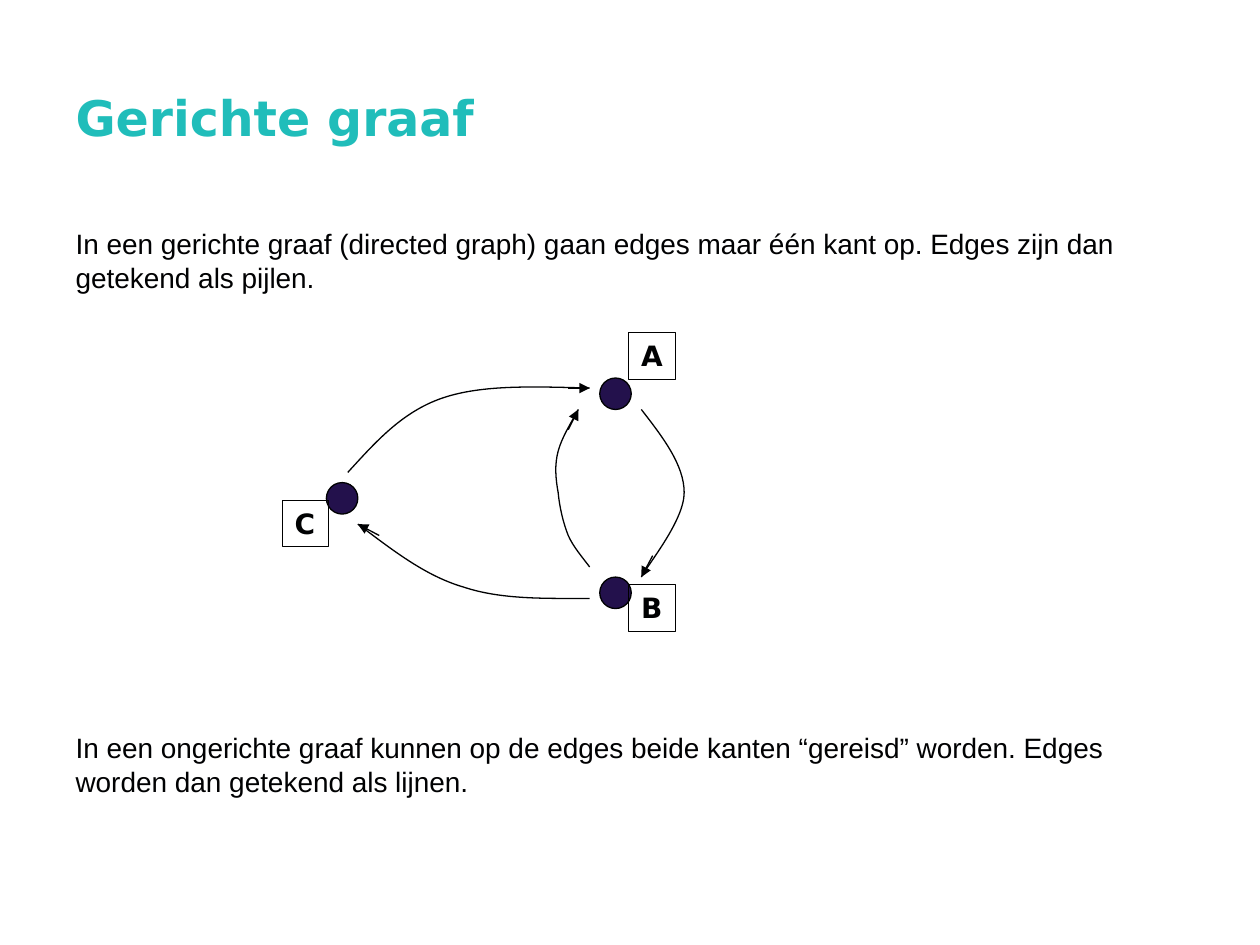
import pptx
import pptx.dml.color
import pptx.enum.shapes
import pptx.enum.text
import pptx.oxml
import pptx.oxml.ns
import pptx.util
from pptx.util import Inches

COLORS = {"title": "20BDBA", "ink": "000102", "node": "23114C", "frame": "000000"}
FORMATS = {
    "title": {"name": "DejaVu Sans", "size": pptx.util.Pt(28), "bold": True},
    "body": {"name": "Arial", "size": pptx.util.Pt(16), "bold": False},
    "label": {"name": "DejaVu Sans", "size": pptx.util.Pt(16), "bold": True},
}
LINE_WIDTH = pptx.util.Pt(0.75)
NODE_SIZE = 0.25
LABEL_SIZE = 0.37

EXPLANATION = [
    "In een gerichte graaf (directed graph) gaan edges maar één kant op. "
    "Edges zijn dan getekend als pijlen.",
    "In een ongerichte graaf kunnen op de edges beide kanten “gereisd” worden. "
    "Edges worden dan getekend als lijnen.",
]
NODES = {
    "A": ((4.76, 3), (4.99, 2.64)),
    "B": ((4.76, 4.58), (4.99, 4.64)),
    "C": ((2.59, 3.83), (2.24, 3.97)),
}
EDGES = [
    [(5.09, 3.25), (5.26, 3.47), (5.43, 3.69), (5.43, 3.91),
     (5.43, 4.13), (5.15, 4.47), (5.09, 4.58)],
    [(2.76, 3.75), (2.98, 3.51), (3.19, 3.27), (3.51, 3.16),
     (3.83, 3.05), (4.25, 3.07), (4.68, 3.08)],
    [(4.68, 4.75), (4.33, 4.75), (3.98, 4.76), (3.68, 4.66),
     (3.37, 4.57), (3.11, 4.36), (2.84, 4.16)],
    [(4.68, 4.50), (4.62, 4.42), (4.55, 4.34), (4.51, 4.25),
     (4.47, 4.15), (4.44, 4.02), (4.43, 3.91),
     (4.41, 3.80), (4.40, 3.69), (4.43, 3.58),
     (4.46, 3.47), (4.53, 3.36), (4.59, 3.25)],
]
ARROW_TIPS = [
    ((5.18, 4.41), (5.09, 4.58)),
    ((4.51, 3.41), (4.59, 3.25)),
    ((4.51, 3.08), (4.68, 3.08)),
    ((3.01, 4.25), (2.84, 4.16)),
]


def add_xml(parent, tag, **attributes):
    child = pptx.oxml.parse_xml(f"<a:{tag} {pptx.oxml.ns.nsdecls('a')}/>")
    for key, value in attributes.items():
        child.set(key, value)
    parent.append(child)
    return child


def bend_segments(curve):
    outline = curve._element.find(f".//{pptx.oxml.ns.qn('a:path')}")
    segments = outline.findall(pptx.oxml.ns.qn("a:lnTo"))
    for first in range(0, len(segments), 3):
        bend = add_xml(outline, "cubicBezTo")
        for segment in segments[first:first + 3]:
            bend.append(segment[0])
            outline.remove(segment)


class GraphSlide:
    def __init__(self, slide):
        self.slide = slide
        self.shapes = slide.shapes

    def color(self, key):
        return pptx.dml.color.RGBColor.from_string(COLORS[key])

    def outline(self, line, color="ink"):
        line.width = LINE_WIDTH
        line.color.rgb = self.color(color)

    def format(self, paragraph, kind, color="ink"):
        for run in paragraph.runs:
            for attribute, value in FORMATS[kind].items():
                setattr(run.font, attribute, value)
            run.font.color.rgb = self.color(color)

    def place(self, holder, left, top, width, height):
        bounds = {"left": left, "top": top, "width": width, "height": height}
        for attribute, value in bounds.items():
            setattr(holder, attribute, Inches(value))
        holder.text_frame.auto_size = pptx.enum.text.MSO_AUTO_SIZE.NONE

    def title(self, words):
        heading = self.shapes.title
        self.place(heading, 0.5, 0.3, 9, 1.25)
        heading.text_frame.text = words
        heading.text_frame.vertical_anchor = pptx.enum.text.MSO_ANCHOR.MIDDLE
        paragraph = heading.text_frame.paragraphs[0]
        paragraph.alignment = pptx.enum.text.PP_ALIGN.LEFT
        self.format(paragraph, "title", "title")

    def body(self, texts, gap):
        explanation = self.slide.placeholders[1]
        self.place(explanation, 0.5, 1.75, 9, 4.95)
        explanation.text_frame.text = "\n".join(texts)
        for index, paragraph in enumerate(explanation.text_frame.paragraphs):
            properties = paragraph._p.get_or_add_pPr()
            properties.set("marL", "0")
            properties.set("indent", "0")
            add_xml(properties, "buNone")
            paragraph.space_before = pptx.util.Pt(gap if index else 0)
            self.format(paragraph, "body")

    def node(self, left, top):
        dot = self.shapes.add_shape(
            pptx.enum.shapes.MSO_SHAPE.OVAL,
            Inches(left), Inches(top), Inches(NODE_SIZE), Inches(NODE_SIZE))
        dot.shadow.inherit = False
        dot.fill.solid()
        dot.fill.fore_color.rgb = self.color("node")
        self.outline(dot.line)

    def edge(self, points):
        start, *rest = [(Inches(x), Inches(y)) for x, y in points]
        builder = self.shapes.build_freeform(*start)
        builder.add_line_segments(rest, close=False)
        curve = builder.convert_to_shape()
        bend_segments(curve)
        curve.shadow.inherit = False
        curve.fill.background()
        self.outline(curve.line)

    def arrow(self, start, end):
        tip = self.shapes.add_connector(
            pptx.enum.shapes.MSO_CONNECTOR.STRAIGHT,
            *(Inches(value) for value in start + end))
        self.outline(tip.line)
        add_xml(tip.line._get_or_add_ln(), "tailEnd", type="triangle")
        add_xml(tip._element.spPr, "effectLst")

    def label(self, letter, left, top):
        box = self.shapes.add_textbox(
            Inches(left), Inches(top), Inches(LABEL_SIZE), Inches(LABEL_SIZE))
        self.outline(box.line, "frame")
        frame = box.text_frame
        frame.word_wrap = False
        frame.auto_size = pptx.enum.text.MSO_AUTO_SIZE.SHAPE_TO_FIT_TEXT
        frame.text = letter
        self.format(frame.paragraphs[0], "label")


def main():
    deck = pptx.Presentation()
    deck.slide_width, deck.slide_height = Inches(10), Inches(7.5)
    graph = GraphSlide(deck.slides.add_slide(deck.slide_layouts[1]))
    graph.title("Gerichte graaf")
    graph.body(EXPLANATION, gap=249.5)
    for position, _ in NODES.values():
        graph.node(*position)
    for points in EDGES:
        graph.edge(points)
    for start, end in ARROW_TIPS:
        graph.arrow(start, end)
    for letter, (_, position) in NODES.items():
        graph.label(letter, *position)
    deck.save("out.pptx")


if __name__ == "__main__":
    main()
